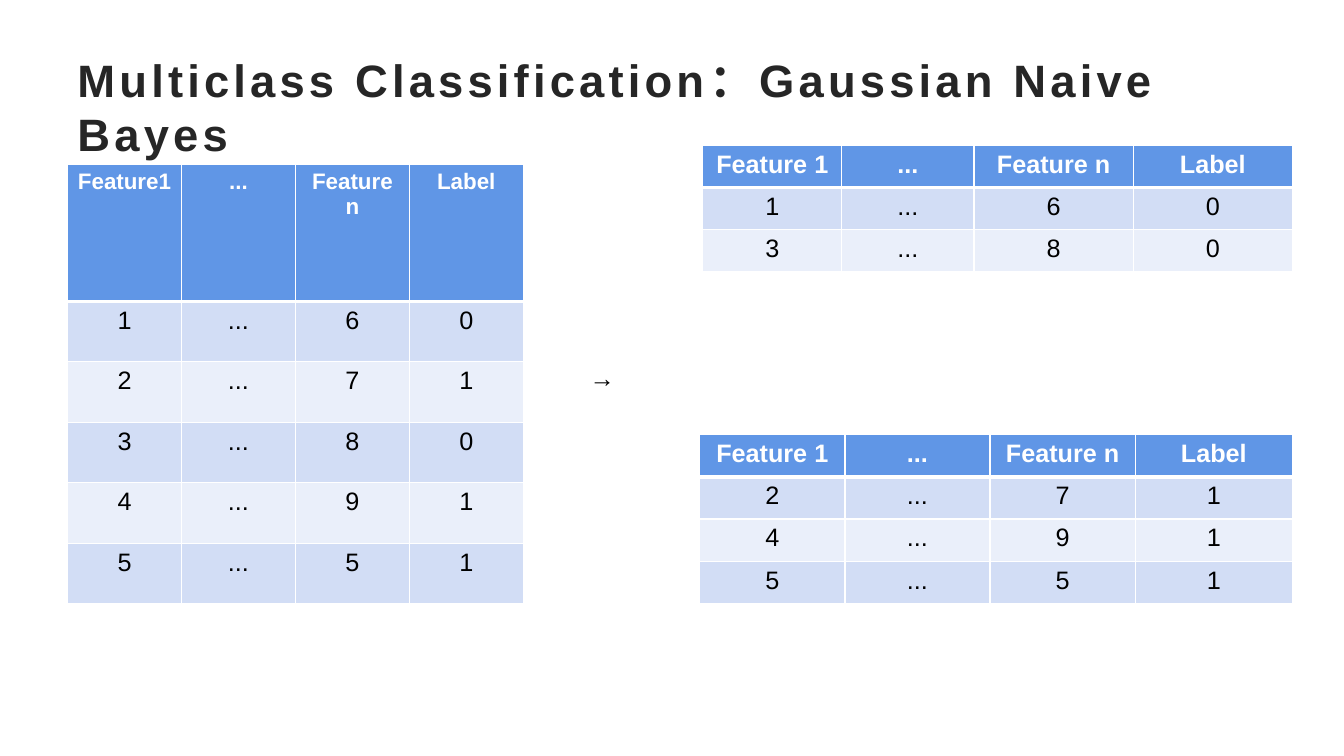
from lxml import etree
from pptx import Presentation
from pptx import util as u
from pptx.dml.color import RGBColor
from pptx.enum import text
from pptx.oxml.ns import qn


def colour(value):
    return RGBColor.from_string(value)


class Page:
    typeface = "Arial"
    header_fill = "6096E6"
    band_fills = ("D2DDF5", "EAEFFA")
    border = "FFFFFF"

    def __init__(self, deck):
        self.slide = deck.slides.add_slide(deck.slide_layouts[6])

    def style(self, para, size, shade, bold):
        font = para.font
        font.name = self.typeface
        font.size = u.Pt(size)
        font.bold = bold
        font.color.rgb = colour(shade)

    def label(self, place, words, size, shade, anchor=text.MSO_ANCHOR.TOP, spacing=0):
        box = self.slide.shapes.add_textbox(*map(u.Inches, place))
        frame = box.text_frame
        frame.word_wrap = True
        frame.vertical_anchor = anchor
        para = frame.paragraphs[0]
        span = para.add_run()
        span.text = words
        self.style(para, size, shade, True)
        if spacing:
            span.font._element.set("spc", str(spacing * 100))

    def edges(self, cell, top, bottom):
        properties = cell._tc.get_or_add_tcPr()
        for side, width in (("L", 1), ("R", 1), ("T", top), ("B", bottom)):
            line = etree.SubElement(properties, qn(f"a:ln{side}"), w=str(u.Pt(width)))
            fill = etree.SubElement(line, qn("a:solidFill"))
            etree.SubElement(fill, qn("a:srgbClr"), val=self.border)

    def table(self, left, top, widths, heights, rows, header_size=18):
        place = map(u.Inches, (left, top, sum(widths), sum(heights)))
        grid = self.slide.shapes.add_table(len(rows), len(widths), *place).table
        for column, width in zip(grid.columns, widths):
            column.width = u.Inches(width)
        for index, (row, height, values) in enumerate(zip(grid.rows, heights, rows)):
            row.height = u.Inches(height)
            header = index == 0
            fill = self.header_fill if header else self.band_fills[(index - 1) % 2]
            for cell, value in zip(row.cells, values):
                self.edges(cell, 3 if index == 1 else 1, 3 if header else 1)
                cell.fill.solid()
                cell.fill.fore_color.rgb = colour(fill)
                cell.text = value
                para = cell.text_frame.paragraphs[0]
                para.alignment = text.PP_ALIGN.CENTER
                self.style(para, header_size if header else 18,
                           "FFFFFF" if header else "000000", header)


def main():
    deck = Presentation()
    deck.slide_width = u.Inches(13.33)
    deck.slide_height = u.Inches(7.5)
    page = Page(deck)

    samples = [("1", "...", "6", "0"), ("2", "...", "7", "1"), ("3", "...", "8", "0"),
               ("4", "...", "9", "1"), ("5", "...", "5", "1")]
    header = ("Feature 1", "...", "Feature n", "Label")
    class_zero, class_one = (
        [header] + [sample for sample in samples if sample[-1] == kind] for kind in "01")

    page.label((0.67, 0.67, 12, 0.77), "Multiclass Classification：Gaussian Naive Bayes",
               32.4, "262626", text.MSO_ANCHOR.MIDDLE, spacing=3)
    page.table(0.67, 1.63, [1.13] * 4, [1.36] + [0.6] * 5,
               [("Feature1",) + header[1:]] + samples, header_size=16)
    page.table(6.97, 1.44, [1.38, 1.31, 1.58, 1.58], [0.42] * 3, class_zero)
    page.table(6.94, 4.31, [1.44, 1.44, 1.44, 1.56], [0.42] * 4, class_one)
    page.label((5.75, 3.55, 0.5, 0.4), "→", 18, "000000")
    deck.save("out.pptx")


if __name__ == "__main__":
    main()
